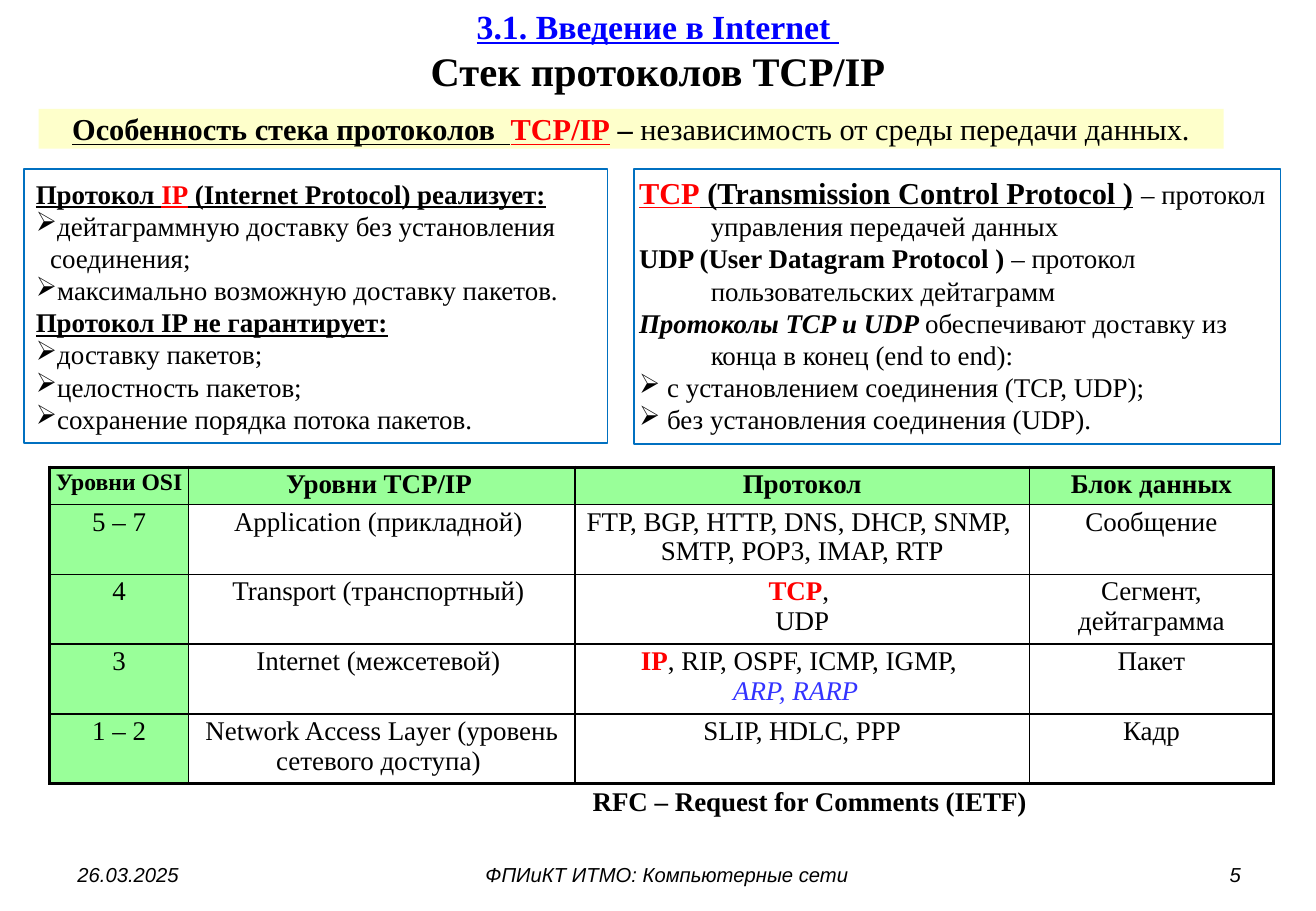
from lxml import etree
from pptx import Presentation
from pptx.dml.color import RGBColor
from pptx.enum.shapes import MSO_SHAPE
from pptx.enum.text import MSO_ANCHOR, PP_ALIGN
from pptx.oxml.ns import qn
from pptx.util import Cm, Pt

LEFT, CENTER, RIGHT = PP_ALIGN.LEFT, PP_ALIGN.CENTER, PP_ALIGN.RIGHT
MIDDLE, TOP = MSO_ANCHOR.MIDDLE, MSO_ANCHOR.TOP
RECT = MSO_SHAPE.RECTANGLE
COLORS = {"black": "000000", "red": "FF0000", "blue": "0000FF", "violet": "3333FF",
          "frame": "0070C0", "cream": "FEFFCB", "green": "99FF99"}
SERIF, SANS = "Times New Roman", "Arial"
B, BU = {"bold": True}, {"bold": True, "underline": True}
RED, RED_U = {**B, "color": "red"}, {**BU, "color": "red"}
HANG = 1.5

IP_LINES = [
    (None, [("Протокол ", BU), ("IP", RED_U), (" (Internet Protocol) реализует:", BU)]),
    ("bullet", [("дейтаграммную доставку без установления соединения;", {})]),
    ("bullet", [("максимально возможную доставку пакетов.", {})]),
    (None, [("Протокол IP не гарантирует:", BU)]),
    ("bullet", [("доставку пакетов;", {})]),
    ("bullet", [("целостность пакетов;", {})]),
    ("bullet", [("сохранение порядка потока пакетов.", {})]),
]
TCP_LINES = [
    ("hang", [("TCP", {**RED_U, "size": 18}),
              (" (Transmission Control Protocol )", {**BU, "size": 18}),
              (" ", {"size": 18}), ("– протокол управления передачей данных", {})]),
    ("hang", [("UDP (User Datagram Protocol )", B), (" – протокол пользовательских дейтаграмм", {})]),
    ("hang", [("Протоколы TCP и UDP ", {**B, "italic": True}),
              ("обеспечивают доставку из конца в конец (end to end):", {})]),
    ("bullet", [(" с установлением соединения (TCP, UDP);", {})]),
    ("bullet", [(" без установления соединения (UDP).", {})]),
]
HEADER = [("Уровни OSI", 14), ("Уровни TCP/IP ", 16), ("Протокол", 16), ("Блок данных", 16)]
LAYERS = [
    ("5 – 7", "Application (прикладной) ",
     [[("FTP, BGP, HTTP, DNS, DHCP, SNMP, ", {})], [("SMTP, POP3, IMAP, RTP", {})]], "Сообщение"),
    ("4", "Transport (транспортный) ",
     [[("TCP", RED), (", ", {})], [("UDP", {})]], "Сегмент, дейтаграмма"),
    ("3", "Internet (межсетевой) ",
     [[("IP", RED), (", RIP, OSPF, ICMP, IGMP, ", {})],
      [("ARP, RARP  ", {"color": "violet", "italic": True})]], "Пакет"),
    ("1 – 2", "Network Access Layer (уровень сетевого доступа) ",
     [[("SLIP, HDLC, PPP", {})]], "Кадр"),
]


def rgb(name):
    """Return the named colour."""
    return RGBColor.from_string(COLORS[name])


def add_run(p, text, size=16, font=SERIF, color="black", bold=False, italic=False, underline=False):
    """Append formatted text to a paragraph."""
    r = p.add_run()
    r.text = text
    f = r.font
    f.size, f.name = Pt(size), font
    f.bold, f.italic, f.underline = bold, italic, underline
    f.color.rgb = rgb(color)


def write(tf, lines, align=LEFT, spacing=None):
    """Fill a text frame with (indent kind, runs) lines."""
    for i, (kind, runs) in enumerate(lines):
        p = tf.paragraphs[0] if i == 0 else tf.add_paragraph()
        p.alignment = align
        if spacing:
            p.line_spacing = Pt(spacing)
        if kind:
            indent = Cm(HANG if kind == "hang" else 0.3)
            pPr = p._p.get_or_add_pPr()
            pPr.set("marL", str(indent))
            pPr.set("indent", str(-indent))
            if kind == "bullet":
                etree.SubElement(pPr, qn("a:buChar")).set("char", "➢")
        for text, fmt in runs:
            add_run(p, text, **fmt)


def setup(tf, inset_x=0.25, inset_y=0.13):
    """Wrap and centre a text frame vertically, with the given insets."""
    tf.word_wrap = True
    tf.vertical_anchor = MIDDLE
    tf.margin_left = tf.margin_right = Cm(inset_x)
    tf.margin_top = tf.margin_bottom = Cm(inset_y)
    return tf


def add_label(s, x, y, w, h, *texts, align=LEFT):
    """Add a text box with one paragraph for each (text, format) pair."""
    sp = s.shapes.add_textbox(Cm(x), Cm(y), Cm(w), Cm(h))
    write(setup(sp.text_frame), [(None, [text]) for text in texts], align)


def add_panel(s, x, y, w, h, lines, fill=None, line=None, insets=(0.25, 0.13), **fmt):
    """Add a rectangle holding text."""
    sp = s.shapes.add_shape(RECT, Cm(x), Cm(y), Cm(w), Cm(h))
    sp.shadow.inherit = False
    if fill:
        sp.fill.solid()
        sp.fill.fore_color.rgb = rgb(fill)
    else:
        sp.fill.background()
    if line:
        sp.line.color.rgb = rgb(line)
        sp.line.width = Pt(1)
    else:
        sp.line.fill.background()
    write(setup(sp.text_frame, *insets), lines, **fmt)


def add_border(cell, side, width):
    """Draw one black edge of a cell."""
    ln = etree.SubElement(cell._tc.get_or_add_tcPr(), qn("a:ln" + side))
    ln.set("w", str(Pt(width)))
    fill = etree.SubElement(ln, qn("a:solidFill"))
    etree.SubElement(fill, qn("a:srgbClr")).set("val", COLORS["black"])


def add_layers_table(s, x, y, widths, heights):
    """Add the table of layers, protocols and data units."""
    rows = [[[[(text, {**B, "size": size})]] for text, size in HEADER]]
    for osi, layer, protocols, unit in LAYERS:
        rows.append([[[(osi, {})]], [[(layer, {})]], protocols, [[(unit, {})]]])
    frame = s.shapes.add_table(len(rows), len(widths), Cm(x), Cm(y), Cm(sum(widths)), Cm(sum(heights)))
    table = frame.table
    table.first_row = table.horz_banding = False
    for column, width in zip(table.columns, widths):
        column.width = Cm(width)
    for i, row in enumerate(rows):
        table.rows[i].height = Cm(heights[i])
        for j, lines in enumerate(row):
            cell = table.cell(i, j)
            cell.margin_left = cell.margin_right = cell.margin_top = cell.margin_bottom = Cm(0.05)
            cell.vertical_anchor = TOP
            outer = {"L": j == 0, "R": j == len(row) - 1, "T": i == 0, "B": i == len(rows) - 1}
            for side, is_outer in outer.items():
                add_border(cell, side, 2.25 if is_outer else 1)
            if i == 0 or j == 0:
                cell.fill.solid()
                cell.fill.fore_color.rgb = rgb("green")
            else:
                cell.fill.background()
            write(cell.text_frame, [(None, runs) for runs in lines], CENTER)


def add_heading(s, x, y, w, h):
    """Add the section name and the slide title."""
    add_label(s, x, y, w, h, ("3.1. Введение в Internet ", {**BU, "size": 20, "color": "blue"}),
              ("Стек протоколов TCP/IP", {**B, "size": 24}), align=CENTER)


def add_feature(s, x, y, w, h):
    """Add the highlighted feature of the stack."""
    runs = [("Особенность стека протоколов  ", BU), ("TCP/IP", RED_U), (" – ", B),
            ("независимость от среды передачи данных.", {})]
    lines = [(None, [(text, {**fmt, "size": 18}) for text, fmt in runs])]
    add_panel(s, x, y, w, h, lines, fill="cream", insets=(0.05, 0.03), align=CENTER)


def add_footer(s, x, y, w, h):
    """Add the date, course name and slide number."""
    fmt = {"size": 12, "font": SANS, "italic": True}
    side, middle = 6.43, 10.87
    add_label(s, x, y, side, h, ("26.03.2025", fmt))
    add_label(s, x + 7.14, y, middle, h, ("ФПИиКТ ИТМО: Компьютерные сети", fmt), align=CENTER)
    add_label(s, x + w - side, y, side, h, ("5", fmt), align=RIGHT)


def main():
    """Build the slide and save it."""
    prs = Presentation()
    prs.slide_width, prs.slide_height = Cm(27.51), Cm(19.05)
    s = prs.slides.add_slide(prs.slide_layouts[6])
    add_heading(s, 1.37, 0.18, 24.77, 1.73)
    add_feature(s, 0.81, 2.28, 24.77, 0.83)
    add_layers_table(s, 1.04, 9.77, [2.9, 8.08, 9.5, 5.1], [0.78] + [1.46] * 4)
    add_footer(s, 1.37, 17.91, 24.82, 0.76)
    add_panel(s, 0.5, 3.53, 12.2, 5.74, IP_LINES, line="frame", spacing=19.05)
    add_panel(s, 13.26, 3.53, 13.51, 5.76, TCP_LINES, line="frame", insets=(0.1, 0.1), spacing=19.05)
    add_label(s, 12.14, 16.28, 9.75, 0.94, ("RFC – Request for Comments (IETF)", B))
    prs.save("out.pptx")


if __name__ == "__main__":
    main()
